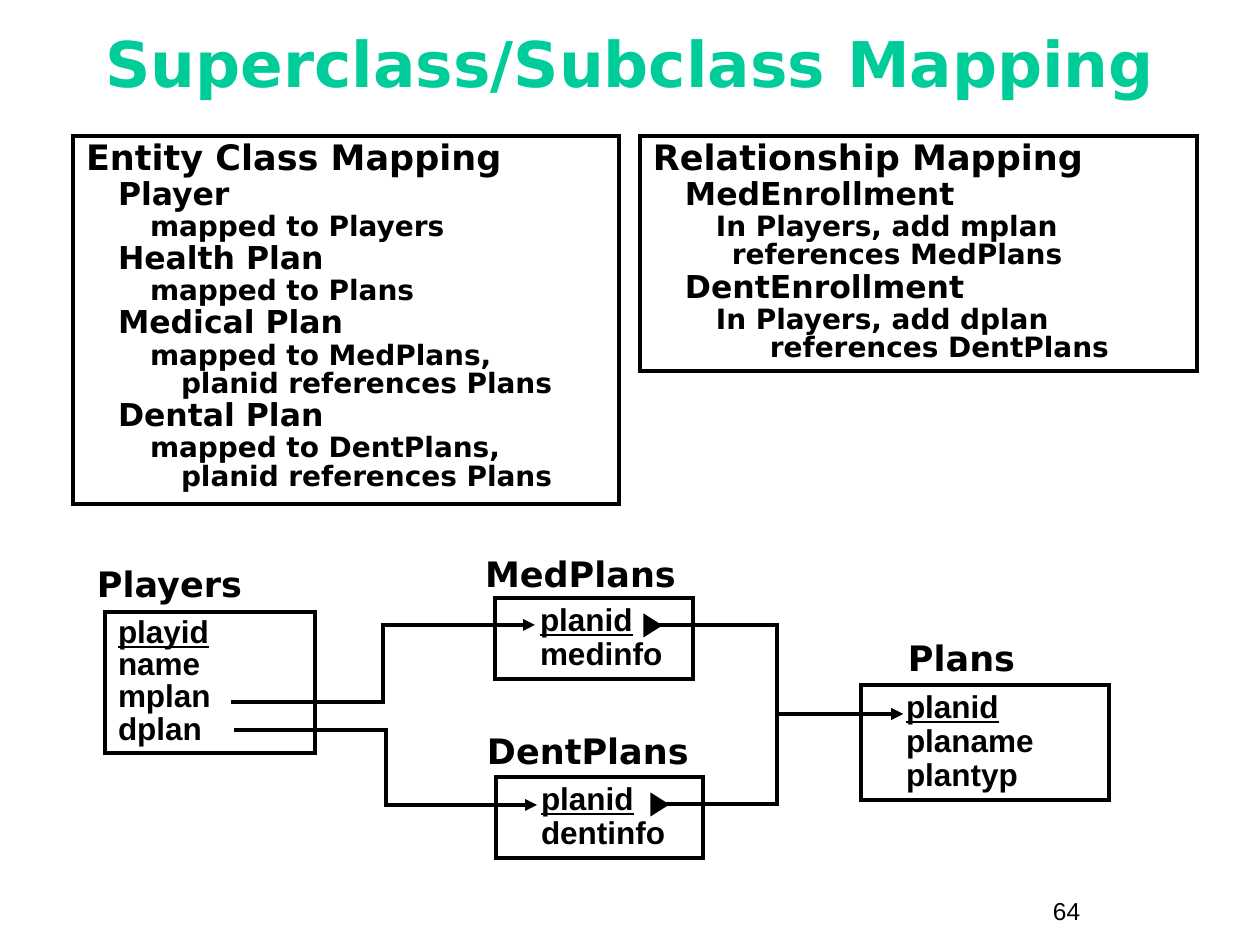
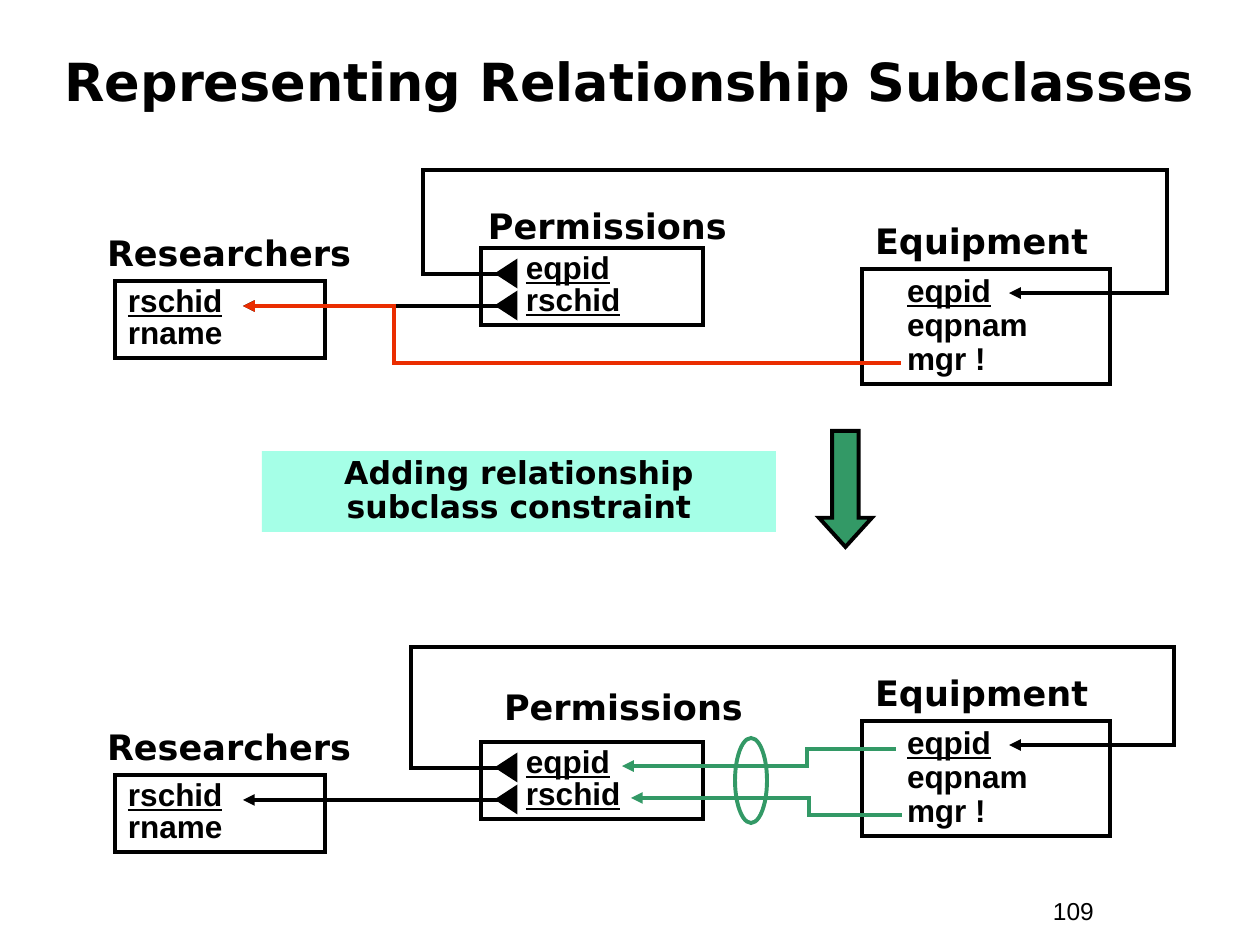
from lxml import etree
from pptx import Presentation
from pptx import util as u
from pptx.dml.color import RGBColor
from pptx.enum import shapes, text
from pptx.oxml import ns

PX = 914400 / 126
BLACK, MINT, GREEN, RED, PALE = "000000", "00CC99", "339966", "EA2D00", "A5FFE7"
HEADING_FONT, FIELD_FONT = "DejaVu Sans", "Arial"
LABEL_SIZE = (271, 55)
INSETS = (13, 6)

# Outline styles: size, left margin, first-line indent, space before
OUTLINE = {
    "head": (20, 0, 0, 1.2),
    "item": (18, 32, 0, 1.1),
    "note": (16, 95, -31, 1),
    "short": (16, 79, -16, 1),
    "deep": (16, 117, 0, 0),
}


def px(value):
    return u.Emu(round(value * PX))


def color(value):
    return RGBColor.from_string(value)


def add_child(parent, tag, **attributes):
    child = etree.SubElement(parent, ns.qn(tag))
    for name, value in attributes.items():
        child.set(name, value)
    return child


def set_line(owner, line_color):
    owner.line.color.rgb = color(line_color)
    owner.line.width = u.Pt(2.25)
    line = owner.line._get_or_add_ln()
    add_child(line, "a:miter", lim="800000")
    return line


def add_box(slide, kind, box, fill=None, line=None):
    shape = slide.shapes.add_shape(kind, *map(px, box))
    shape.shadow.inherit = False
    if fill:
        shape.fill.solid()
        shape.fill.fore_color.rgb = color(fill)
    else:
        shape.fill.background()
    if line:
        set_line(shape, line)
    else:
        shape.line.fill.background()
    return shape


def add_frame(slide, box, line=None, fill=None):
    """Add a rectangle, or a plain text box, and return its text frame."""
    if line or fill:
        shape = add_box(slide, shapes.MSO_SHAPE.RECTANGLE, box, fill, line)
    else:
        shape = slide.shapes.add_textbox(*map(px, box))
    frame = shape.text_frame
    frame.word_wrap = True
    frame.vertical_anchor = text.MSO_ANCHOR.TOP
    frame.margin_left = frame.margin_right = px(INSETS[0])
    frame.margin_top = frame.margin_bottom = px(INSETS[1])
    return frame


def format_paragraph(paragraph, size, font=HEADING_FONT, bold=True, underline=False,
                     font_color=BLACK, align=text.PP_ALIGN.LEFT, spacing=1.0,
                     left=0, first=0):
    properties = paragraph._p.get_or_add_pPr()
    properties.set("marL", str(px(left)))
    properties.set("indent", str(px(first)))
    paragraph.alignment = align
    paragraph.line_spacing = spacing
    for run in paragraph.runs:
        run.font.name = font
        run.font.size = u.Pt(size)
        run.font.bold = bold
        run.font.underline = underline
        run.font.color.rgb = color(font_color)


def paragraphs_for(frame, lines):
    """Put each line in a paragraph of its own and return the paragraphs."""
    frame.text = "\n".join(lines)
    return frame.paragraphs


def add_text(slide, box, words, size, **style):
    frame = add_frame(slide, box)
    frame.text = words
    format_paragraph(frame.paragraphs[0], size, **style)
    return frame


def add_title(slide, box, words, size, title_color):
    frame = add_text(slide, box, words, size, font_color=title_color,
                     align=text.PP_ALIGN.CENTER)
    frame.vertical_anchor = text.MSO_ANCHOR.MIDDLE


def add_page_number(slide, number):
    add_text(slide, (1040, 890, 116, 43), str(number), 14, font=FIELD_FONT, bold=False)


def add_outline(slide, box, lines):
    frame = add_frame(slide, box, line=BLACK)
    paragraphs = paragraphs_for(frame, [words for _, words in lines])
    for index, (paragraph, (style, _)) in enumerate(zip(paragraphs, lines)):
        size, left, first, before = OUTLINE[style]
        format_paragraph(paragraph, size, spacing=0.85, left=left, first=first)
        paragraph.space_before = u.Pt(before if index else 0)


def add_relation(slide, box, name, label_offset, fields, keys=1, left=32, spacing=0.9):
    """Add a table box with its name; the first `keys` fields are underlined."""
    frame = add_frame(slide, box, line=BLACK)
    for index, paragraph in enumerate(paragraphs_for(frame, fields)):
        format_paragraph(paragraph, 18, font=FIELD_FONT, underline=index < keys,
                         left=left, spacing=spacing)
    label = (box[0] + label_offset[0], box[1] + label_offset[1], *LABEL_SIZE)
    add_text(slide, label, name, 20)


def add_arrow(slide, start, end, bends=(), line_color=BLACK):
    """Add an arrow; bends lists the x, y, x... positions where it turns."""
    kinds = shapes.MSO_CONNECTOR
    kind = kinds.ELBOW if bends else kinds.STRAIGHT
    connector = slide.shapes.add_connector(kind, *map(px, (*start, *end)))
    properties = connector._element.spPr
    add_child(set_line(connector, line_color), "a:tailEnd", type="triangle")
    add_child(properties, "a:effectLst")
    if not bends:
        return
    geometry = properties.find(ns.qn("a:prstGeom"))
    geometry.set("prst", f"bentConnector{len(bends) + 2}")
    guides = geometry.find(ns.qn("a:avLst"))
    if guides is None:
        guides = add_child(geometry, "a:avLst")
    for index, bend in enumerate(bends):
        axis = index % 2
        ratio = (bend - start[axis]) / (end[axis] - start[axis])
        add_child(guides, "a:gd", name=f"adj{index + 1}",
                  fmla=f"val {round(ratio * 100000)}")
    if bends[0] < start[0]:
        turn = properties.find(ns.qn("a:xfrm"))
        turn.set("rot", "10800000")
        for flip in ("flipH", "flipV"):
            turn.set(flip, "0" if turn.get(flip) == "1" else "1")


def add_foot(slide, box, rotation):
    """Add the solid triangle that marks the start of a reference."""
    foot = add_box(slide, shapes.MSO_SHAPE.ISOSCELES_TRIANGLE, box, fill=BLACK)
    foot.rotation = rotation


def add_plan_schema(slide):
    add_relation(slide, (105, 612, 210, 141), "Players", (-21, -56),
                 ["playid", "name", "mplan", "dplan"], left=0, spacing=0.85)
    add_relation(slide, (861, 685, 248, 115), "Plans", (34, -55),
                 ["planid", "planame", "plantyp"])
    add_relation(slide, (495, 598, 198, 81), "MedPlans", (-23, -52),
                 ["planid", "medinfo"])
    add_relation(slide, (496, 777, 207, 81), "DentPlans", (-22, -54),
                 ["planid", "dentinfo"])
    add_arrow(slide, (651, 625), (903, 714), [777])
    add_arrow(slide, (653, 804), (903, 714), [777])
    add_arrow(slide, (231, 702), (535, 625), [383])
    add_arrow(slide, (234, 730), (537, 805), [386])
    for left, top in ((641, 616), (648, 795)):
        add_foot(slide, (left, top, 24, 19), 90)


def add_permission_schema(slide, top, equipment_top, permissions_label, loop):
    """Add the three linked tables; top is that of the Permissions box."""
    add_relation(slide, (115, top + 33, 210, 77), "Researchers", (-21, -56),
                 ["rschid", "rname"], left=0, spacing=0.85)
    add_relation(slide, (481, top, 222, 77), "Permissions", permissions_label,
                 ["eqpid", "rschid"], keys=2, spacing=0.85)
    add_relation(slide, (862, equipment_top, 248, 115), "Equipment", (0, -56),
                 ["eqpid", "eqpnam", "mgr !"])
    add_arrow(slide, (513, top + 58), (243, top + 58))
    add_arrow(slide, (513, top + 26), (1009, equipment_top + 24), loop)
    for offset in (14, 46):
        add_foot(slide, (491, top + offset, 30, 23), 270)


def add_constraint_step(slide, left, top):
    frame = add_frame(slide, (left, top + 20, 514, 81), fill=PALE)
    frame.text = "Adding relationship\vsubclass constraint"
    format_paragraph(frame.paragraphs[0], 18, align=text.PP_ALIGN.CENTER, spacing=0.9)
    arrow = add_box(slide, shapes.MSO_SHAPE.DOWN_ARROW, (left + 557, top, 53, 116),
                    fill=GREEN, line=BLACK)
    arrow.adjustments[1] = 0.55


def build_mapping_slide(slide):
    add_page_number(slide, 64)
    add_title(slide, (42, 10, 1176, 105), "Superclass/Subclass Mapping", 36, MINT)
    add_outline(slide, (73, 136, 546, 368), [
        ("head", "Entity Class Mapping"),
        ("item", "Player"),
        ("note", "mapped to Players"),
        ("item", "Health Plan"),
        ("note", "mapped to Plans"),
        ("item", "Medical Plan"),
        ("note", "mapped to MedPlans,\vplanid references Plans"),
        ("item", "Dental Plan"),
        ("note", "mapped to DentPlans,\vplanid references Plans"),
    ])
    add_outline(slide, (640, 136, 557, 235), [
        ("head", "Relationship Mapping"),
        ("item", "MedEnrollment"),
        ("short", "In Players, add mplan\vreferences MedPlans"),
        ("item", "DentEnrollment"),
        ("short", "In Players, add dplan"),
        ("deep", "references DentPlans"),
    ])
    add_plan_schema(slide)


def build_constraint_slide(slide):
    add_page_number(slide, 109)
    add_title(slide, (42, 23, 1176, 116), "Representing Relationship Subclasses", 30, BLACK)
    add_permission_schema(slide, 248, 269, (-6, -50), [423, 170, 1167])
    add_arrow(slide, (901, 363), (243, 306), [394], RED)
    add_constraint_step(slide, 262, 431)
    add_permission_schema(slide, 742, 721, (10, -63), [411, 647, 1174])
    add_arrow(slide, (896, 749), (622, 766), [807], GREEN)
    add_arrow(slide, (902, 815), (631, 798), [809], GREEN)
    add_box(slide, shapes.MSO_SHAPE.OVAL, (735, 738, 32, 85), line=GREEN)


def main():
    presentation = Presentation()
    presentation.slide_width = px(1260)
    presentation.slide_height = px(945)
    blank = presentation.slide_layouts[6]
    for build in (build_mapping_slide, build_constraint_slide):
        build(presentation.slides.add_slide(blank))
    presentation.save("out.pptx")


if __name__ == "__main__":
    main()
